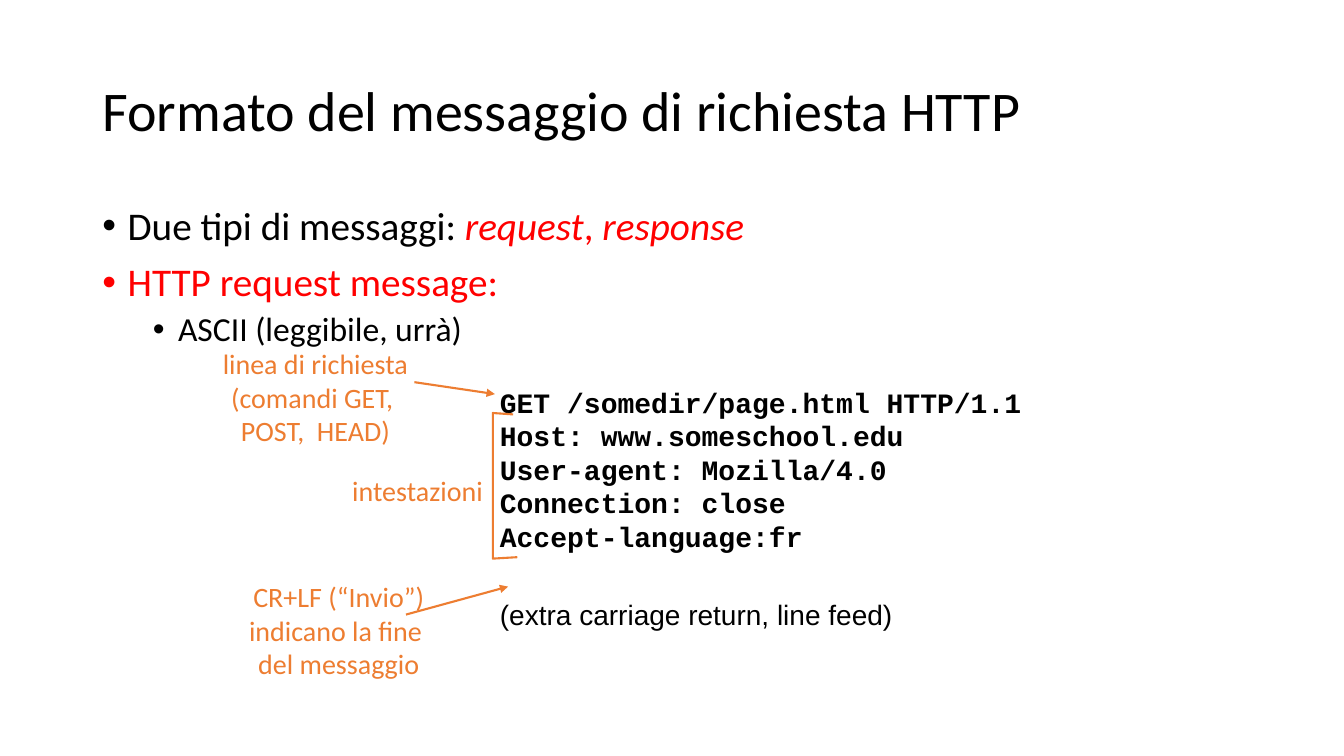
from dataclasses import dataclass

from lxml import etree
from pptx import Presentation
from pptx.dml.color import RGBColor
from pptx.enum.shapes import MSO_CONNECTOR
from pptx.enum.text import MSO_ANCHOR, MSO_AUTO_SIZE, PP_ALIGN
from pptx.oxml.ns import qn
from pptx.util import Pt

BLACK = RGBColor(0x00, 0x00, 0x00)
RED = RGBColor(0xFF, 0x00, 0x00)
ORANGE = RGBColor(0xED, 0x7D, 0x31)
LEFT, CENTER, RIGHT = PP_ALIGN.LEFT, PP_ALIGN.CENTER, PP_ALIGN.RIGHT
MIDDLE, TOP = MSO_ANCHOR.MIDDLE, MSO_ANCHOR.TOP
NO_AUTOFIT = MSO_AUTO_SIZE.NONE
STRAIGHT = MSO_CONNECTOR.STRAIGHT
LINE_WIDTH = Pt(1.5)


@dataclass
class Span:
    text: str
    color: RGBColor = BLACK
    italic: bool = False


@dataclass
class Bullet:
    spans: list[Span]
    level: int = 0
    size: float = 28
    before: float = 10


@dataclass
class TextBox:
    text: str
    left: float
    top: float
    width: float
    height: float
    align: PP_ALIGN = CENTER
    font: str = "Calibri"
    color: RGBColor = ORANGE
    bold: bool = False


@dataclass
class Arrow:
    x1: float
    y1: float
    x2: float
    y2: float


BULLETS = [
    Bullet([Span("Due tipi di messaggi: "), Span("request", RED, True),
            Span(", ", RED), Span("response", RED, True)], before=0),
    Bullet([Span("HTTP request message:", RED)]),
    Bullet([Span("ASCII (leggibile, urrà)")], level=1, size=24, before=5),
]
REQUEST = TextBox(
    "GET /somedir/page.html HTTP/1.1\n"
    "Host: www.someschool.edu\n"
    "User-agent: Mozilla/4.0\n"
    "Connection: close\n"
    "Accept-language:fr\n"
    "(extra carriage return, line feed)",
    350, 271.5, 390, 186.5, LEFT, "Courier New", BLACK, True)
LABELS = [
    TextBox("linea di richiesta\n(comandi GET, \nPOST,  HEAD)", 151, 244, 148.5, 80),
    TextBox("intestazioni", 243.5, 335, 108.5, 31.5, RIGHT),
    TextBox("CR+LF (“Invio”)\nindicano la fine \ndel messaggio", 170, 410.5, 144, 80),
]
ARROWS = [Arrow(296, 273, 353.5, 281.5), Arrow(290, 439, 363, 419)]
BRACKET = [(366.5, 296), (352, 295), (352, 399), (369.5, 398)]


def place(sp, left: float, top: float, width: float, height: float) -> None:
    sp.left, sp.top, sp.width, sp.height = Pt(left), Pt(top), Pt(width), Pt(height)


def style_run(r, font: str, size: float, color: RGBColor) -> None:
    r.font.name = font
    r.font.size = Pt(size)
    r.font.color.rgb = color


def fill_bullet(p, bullet: Bullet) -> None:
    p.level = bullet.level
    p.line_spacing = 0.9
    p.space_before = Pt(bullet.before)
    pPr = p._p.get_or_add_pPr()
    pPr.set("marL", str(Pt(18 + 36 * bullet.level)))
    pPr.set("indent", str(Pt(-18)))
    etree.SubElement(pPr, qn("a:buFont")).set("typeface", "Arial")
    etree.SubElement(pPr, qn("a:buChar")).set("char", "•")
    for span in bullet.spans:
        r = p.add_run()
        r.text = span.text
        style_run(r, "Calibri", bullet.size, span.color)
        r.font.italic = span.italic


def add_text_box(slide, box: TextBox):
    sp = slide.shapes.add_textbox(
        Pt(box.left), Pt(box.top), Pt(box.width), Pt(box.height))
    tf = sp.text_frame
    tf.word_wrap = False
    tf.text = box.text
    for p in tf.paragraphs:
        p.alignment = box.align
        for r in p.runs:
            style_run(r, box.font, 20, box.color)
            r.font.bold = box.bold
    return sp


def add_arrow(slide, arrow: Arrow) -> None:
    line = slide.shapes.add_connector(
        STRAIGHT, Pt(arrow.x1), Pt(arrow.y1), Pt(arrow.x2), Pt(arrow.y2))
    line.line.color.rgb = ORANGE
    line.line.width = LINE_WIDTH
    ln = line.line._get_or_add_ln()
    etree.SubElement(ln, qn("a:tailEnd")).set("type", "triangle")
    etree.SubElement(line._element.spPr, qn("a:effectLst"))


def add_bracket(slide, points: list[tuple[float, float]]) -> None:
    corners = [(Pt(x), Pt(y)) for x, y in points]
    builder = slide.shapes.build_freeform(*corners[0])
    builder.add_line_segments(corners[1:], close=False)
    sp = builder.convert_to_shape()
    sp.shadow.inherit = False
    sp.fill.background()
    sp.line.color.rgb = ORANGE
    sp.line.width = LINE_WIDTH


def main() -> None:
    prs = Presentation()
    prs.slide_width, prs.slide_height = Pt(960), Pt(540)
    slide = prs.slides.add_slide(prs.slide_layouts[1])

    # Title
    title = slide.shapes.title
    place(title, 66, 29, 828, 104)
    tf = title.text_frame
    tf.text = "Formato del messaggio di richiesta HTTP"
    tf.vertical_anchor = MIDDLE
    tf.auto_size = NO_AUTOFIT
    p = tf.paragraphs[0]
    p.alignment = LEFT
    p.line_spacing = 0.9
    style_run(p.runs[0], "Calibri", 40, BLACK)

    # Bullet list
    body = slide.placeholders[1]
    place(body, 66, 144, 828, 343)
    tf = body.text_frame
    tf.vertical_anchor = TOP
    tf.auto_size = NO_AUTOFIT
    for i, bullet in enumerate(BULLETS):
        fill_bullet(tf.add_paragraph() if i else tf.paragraphs[0], bullet)

    # Request message, closed by a plain remark
    request = add_text_box(slide, REQUEST)
    remark = request.text_frame.paragraphs[-1]
    remark.space_before = Pt(31.5)
    remark.runs[0].font.name = "Arial"
    remark.runs[0].font.bold = False

    # Orange annotations
    for label in LABELS:
        add_text_box(slide, label)
    for arrow in ARROWS:
        add_arrow(slide, arrow)
    add_bracket(slide, BRACKET)

    prs.save("out.pptx")


if __name__ == "__main__":
    main()
